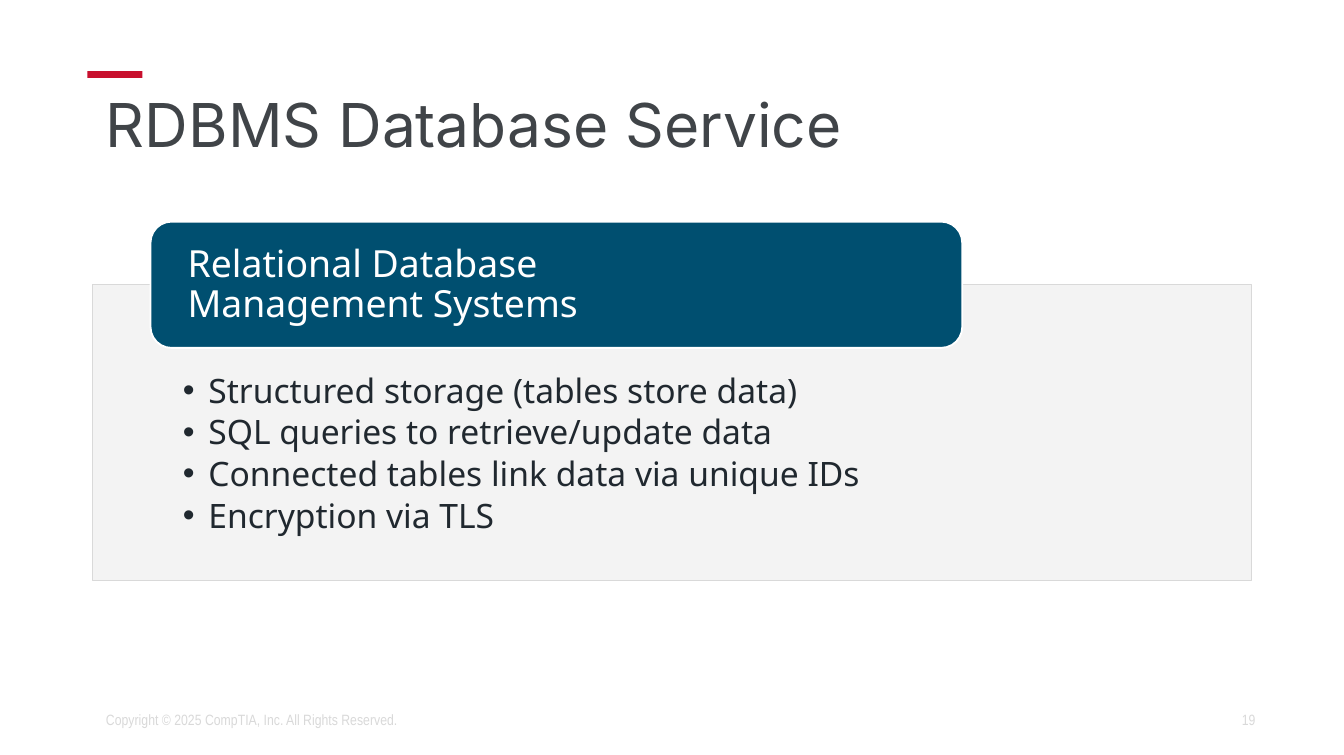
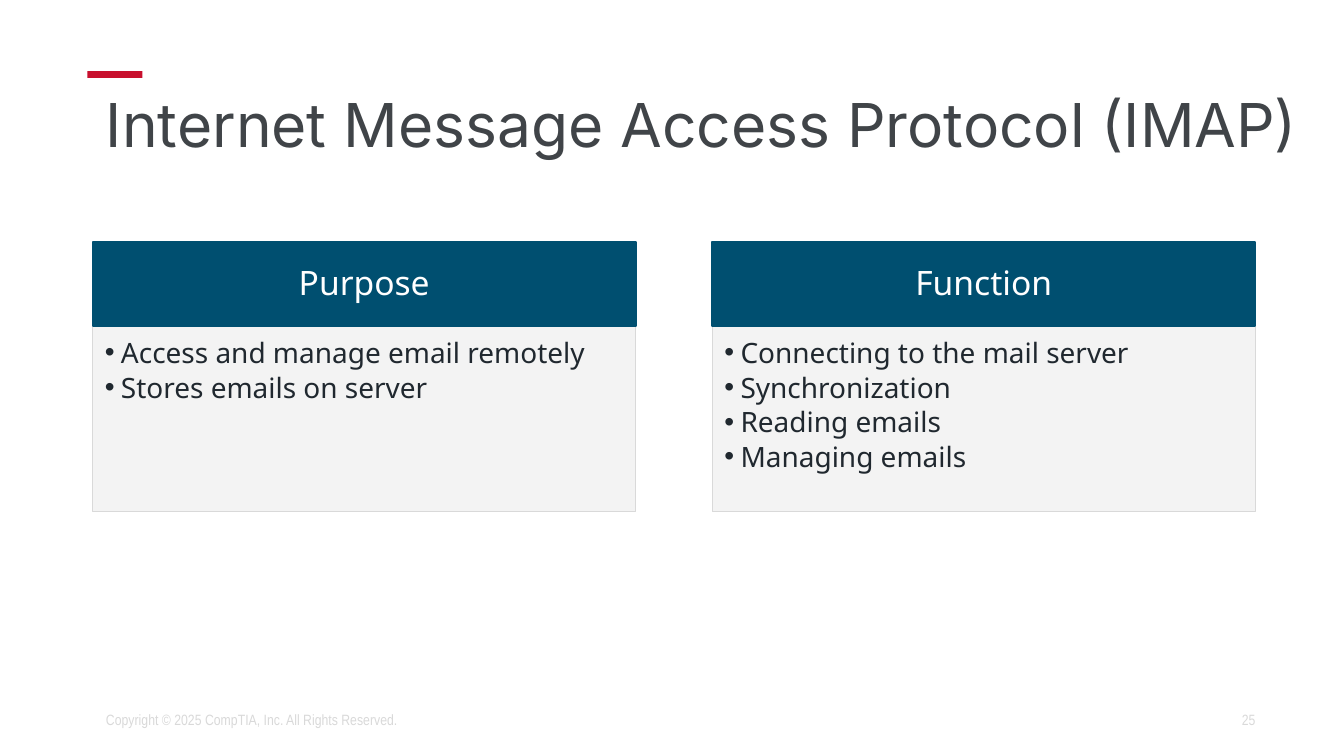
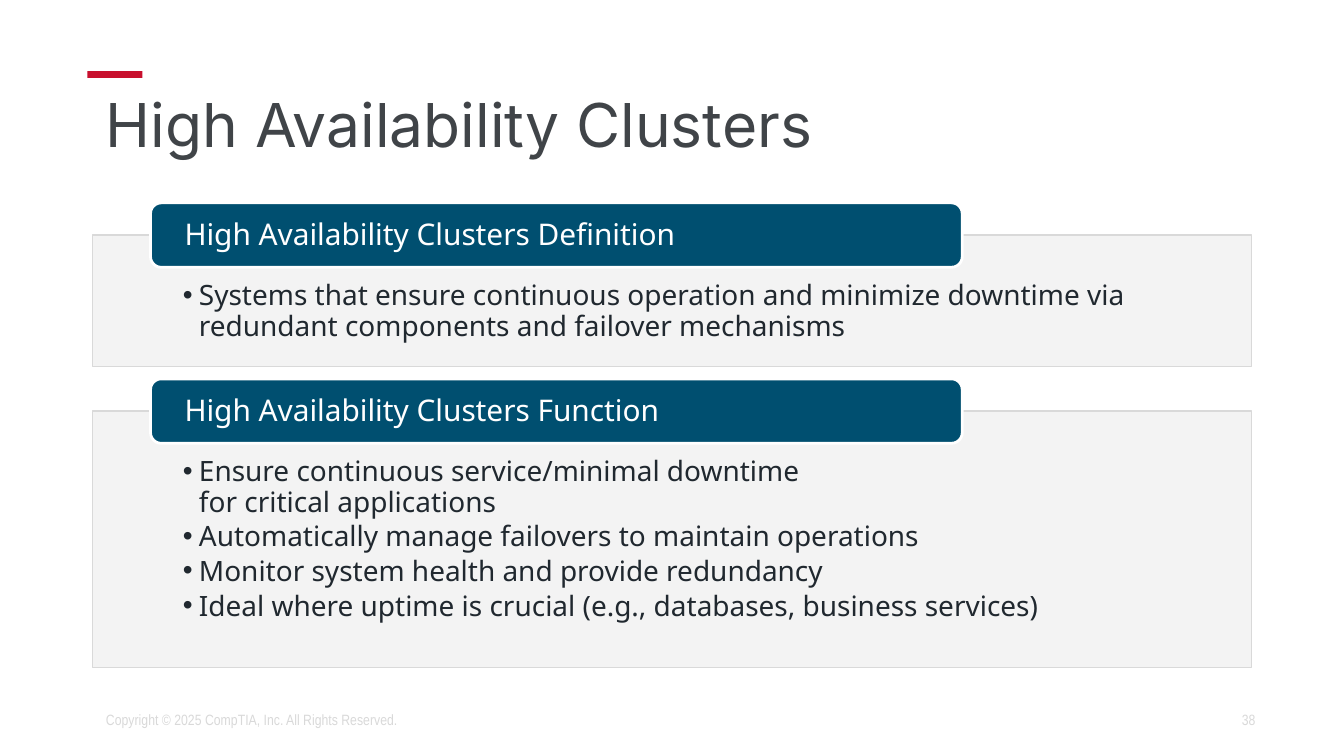
from dataclasses import dataclass

from pptx import Presentation
from pptx.dml.color import RGBColor
from pptx.enum.shapes import MSO_SHAPE
from pptx.enum.text import MSO_ANCHOR, PP_ALIGN
from pptx.oxml.ns import qn
from pptx.util import Inches, Pt
from lxml.etree import SubElement

RED, NAVY, WHITE = "C8102E", "004F70", "FFFFFF"
TITLE_GRAY, INK, PALE, RULE = "404448", "20282F", "F2F2F2", "D9D9D9"
COPYRIGHT = "Copyright © 2025 CompTIA, Inc. All Rights Reserved."
LEFT, PANEL_W, HEAD_LEFT, HEAD_W = 0.69, 8.62, 1.12, 6.04
COLUMN_W, COLUMN_STEP = 4.04, 4.61
LINE_RATIO, AFTER_RATIO = 1.09, 0.15


@dataclass(frozen=True)
class Box:
    """A rectangle in inches."""
    x: float
    y: float
    w: float
    h: float


@dataclass(frozen=True)
class TextFormat:
    """The look and placement of text in a box."""
    size: float
    color: str
    font: str = "Noto Sans"
    align: PP_ALIGN = PP_ALIGN.LEFT
    anchor: MSO_ANCHOR = MSO_ANCHOR.MIDDLE
    insets: tuple[float, float, float, float] = (0.1, 0.05, 0.1, 0.05)
    line_spacing: float | None = None
    hang: float = 0


@dataclass(frozen=True)
class PanelStyle:
    """The shared look of a heading and its bullet panel."""
    head_shape: MSO_SHAPE
    head_line: str
    head_line_width: float
    head: TextFormat
    body: TextFormat


@dataclass(frozen=True)
class Panel:
    """A heading with its list of bullets."""
    heading: str
    bullets: tuple[str, ...]
    head_box: Box
    body_box: Box


@dataclass(frozen=True)
class Page:
    """The content of one slide."""
    title: str
    number: int
    style: PanelStyle
    panels: tuple[Panel, ...]
    title_width: float = PANEL_W


def text_format(size: float, color: str, **options) -> TextFormat:
    """Return panel text with line spacing in proportion to its size."""
    return TextFormat(size, color, line_spacing=Pt(size * LINE_RATIO), **options)


def bullet_format(size: float, hang: float, insets: tuple) -> TextFormat:
    """Return the format of a bullet list."""
    return text_format(size, INK, hang=hang, insets=insets, anchor=MSO_ANCHOR.TOP)


def stacked_style(head_size: float, line_width: float, body: TextFormat) -> PanelStyle:
    """Return the style with a rounded heading over the panel's top edge."""
    head = text_format(head_size, WHITE, insets=(0.23, 0, 0.23, 0))
    return PanelStyle(MSO_SHAPE.ROUNDED_RECTANGLE, WHITE, line_width, head, body)


def stacked_panel(heading: str, bullets: tuple[str, ...], top: float,
                  height: float, head_height: float) -> Panel:
    """Return a panel whose heading is centred on its top edge."""
    head_box = Box(HEAD_LEFT, top - head_height / 2, HEAD_W, head_height)
    return Panel(heading, bullets, head_box, Box(LEFT, top, PANEL_W, height))


def column_panel(index: int, heading: str, bullets: tuple[str, ...]) -> Panel:
    """Return a panel in the given column."""
    x = LEFT + index * COLUMN_STEP
    return Panel(heading, bullets, Box(x, 1.8, COLUMN_W, 0.63),
                 Box(x, 2.43, COLUMN_W, 1.38))


STACKED_LARGE = stacked_style(20, 1, bullet_format(18, 0.19, (0.67, 0.66, 0.67, 0.14)))
STACKED_SMALL = stacked_style(16, 1.5, bullet_format(15, 0.12, (0.67, 0.34, 0.67, 0.12)))
COLUMNS = PanelStyle(
    MSO_SHAPE.RECTANGLE, NAVY, 1,
    text_format(18, WHITE, align=PP_ALIGN.CENTER, insets=(0.14, 0.08, 0.14, 0.08)),
    bullet_format(15, 0.12, (0.09, 0.09, 0.12, 0.13)),
)
TITLE = TextFormat(32.4, TITLE_GRAY, "Inter", line_spacing=0.9)
FOOTER = TextFormat(8, RULE, "Arial Narrow")
PAGE_NUMBER = TextFormat(8, RULE, "Arial Narrow", PP_ALIGN.RIGHT)

PAGES = (
    Page("RDBMS Database Service", 19, STACKED_LARGE, (
        stacked_panel("Relational Database\nManagement Systems", (
            "Structured storage (tables store data)",
            "SQL queries to retrieve/update data",
            "Connected tables link data via unique IDs",
            "Encryption via TLS",
        ), 2.12, 2.2, 0.94),
    )),
    Page("Internet Message Access Protocol (IMAP)", 25, COLUMNS, (
        column_panel(0, "Purpose", (
            "Access and manage email remotely",
            "Stores emails on server",
        )),
        column_panel(1, "Function", (
            "Connecting to the mail server",
            "Synchronization",
            "Reading emails",
            "Managing emails",
        )),
    ), 9.12),
    Page("High Availability Clusters", 38, STACKED_SMALL, (
        stacked_panel("High Availability Clusters Definition", (
            "Systems that ensure continuous operation and minimize downtime via "
            "redundant components and failover mechanisms",
        ), 1.75, 0.98, 0.48),
        stacked_panel("High Availability Clusters Function", (
            "Ensure continuous service/minimal downtime\nfor critical applications",
            "Automatically manage failovers to maintain operations",
            "Monitor system health and provide redundancy",
            "Ideal where uptime is crucial (e.g., databases, business services)",
        ), 3.06, 1.91, 0.48),
    )),
)


def rgb(color: str) -> RGBColor:
    """Convert a hex string to a colour."""
    return RGBColor.from_string(color)


def set_all(target, values: dict) -> None:
    """Set each named attribute on the target."""
    for name, value in values.items():
        setattr(target, name, value)


def place(box: Box) -> tuple:
    """Return the box's edges as lengths."""
    return Inches(box.x), Inches(box.y), Inches(box.w), Inches(box.h)


def add_bullet(p, hang: float) -> None:
    """Give a paragraph a hanging bullet."""
    pPr = p._p.get_or_add_pPr()
    pPr.set("marL", str(Inches(hang)))
    pPr.set("indent", str(-Inches(hang)))
    SubElement(pPr, qn("a:buFont")).set("typeface", "Arial")
    SubElement(pPr, qn("a:buChar")).set("char", "•")


def write(sp, lines: tuple[str, ...], fmt: TextFormat) -> None:
    """Write one paragraph per line into a shape."""
    tf = sp.text_frame
    left, top, right, bottom = map(Inches, fmt.insets)
    set_all(tf, {"word_wrap": True, "vertical_anchor": fmt.anchor,
                 "margin_left": left, "margin_top": top,
                 "margin_right": right, "margin_bottom": bottom})
    for i, line in enumerate(lines):
        p = tf.add_paragraph() if i else tf.paragraphs[0]
        p.text = line
        if fmt.hang:
            add_bullet(p, fmt.hang)
            p.space_after = Pt(fmt.size * AFTER_RATIO)
        set_all(p, {"alignment": fmt.align, "line_spacing": fmt.line_spacing})
        for r in p.runs:
            set_all(r.font, {"size": Pt(fmt.size), "name": fmt.font})
            r.font.color.rgb = rgb(fmt.color)


def add_text(s, box: Box, text: str, fmt: TextFormat) -> None:
    """Add a text box."""
    write(s.shapes.add_textbox(*place(box)), (text,), fmt)


def add_block(s, kind: MSO_SHAPE, box: Box, fill: str, line: str | None = None,
              width: float = 0, opacity: int = 100):
    """Add a filled shape, with an outline if a line colour is given."""
    sp = s.shapes.add_shape(kind, *place(box))
    sp.shadow.inherit = False
    sp.fill.solid()
    sp.fill.fore_color.rgb = rgb(fill)
    if opacity < 100:
        color = sp._element.spPr.find(qn("a:solidFill")).find(qn("a:srgbClr"))
        SubElement(color, qn("a:alpha")).set("val", str(opacity * 1000))
    if line:
        sp.line.color.rgb = rgb(line)
        sp.line.width = Pt(width)
    else:
        sp.line.fill.background()
    return sp


def add_panel(s, panel: Panel, style: PanelStyle) -> None:
    """Add a bullet panel and the heading above it."""
    body = add_block(s, MSO_SHAPE.RECTANGLE, panel.body_box, PALE, RULE, 0.75, 90)
    write(body, panel.bullets, style.body)
    head = add_block(s, style.head_shape, panel.head_box, NAVY,
                     style.head_line, style.head_line_width)
    write(head, (panel.heading,), style.head)


def add_page(prs, page: Page) -> None:
    """Add a slide with its title, footer and panels."""
    s = prs.slides.add_slide(prs.slide_layouts[6])
    add_block(s, MSO_SHAPE.RECTANGLE, Box(0.65, 0.53, 0.41, 0.05), RED)
    add_text(s, Box(LEFT, 0.64, page.title_width, 0.63), page.title, TITLE)
    add_text(s, Box(7.06, 5.21, 2.38, 0.3), str(page.number), PAGE_NUMBER)
    add_text(s, Box(LEFT, 5.21, 4.31, 0.3), COPYRIGHT, FOOTER)
    for panel in page.panels:
        add_panel(s, panel, page.style)


def main() -> None:
    """Build and save the presentation."""
    prs = Presentation()
    set_all(prs, {"slide_width": Inches(10), "slide_height": Inches(5.62)})
    for page in PAGES:
        add_page(prs, page)
    prs.save("out.pptx")


if __name__ == "__main__":
    main()
